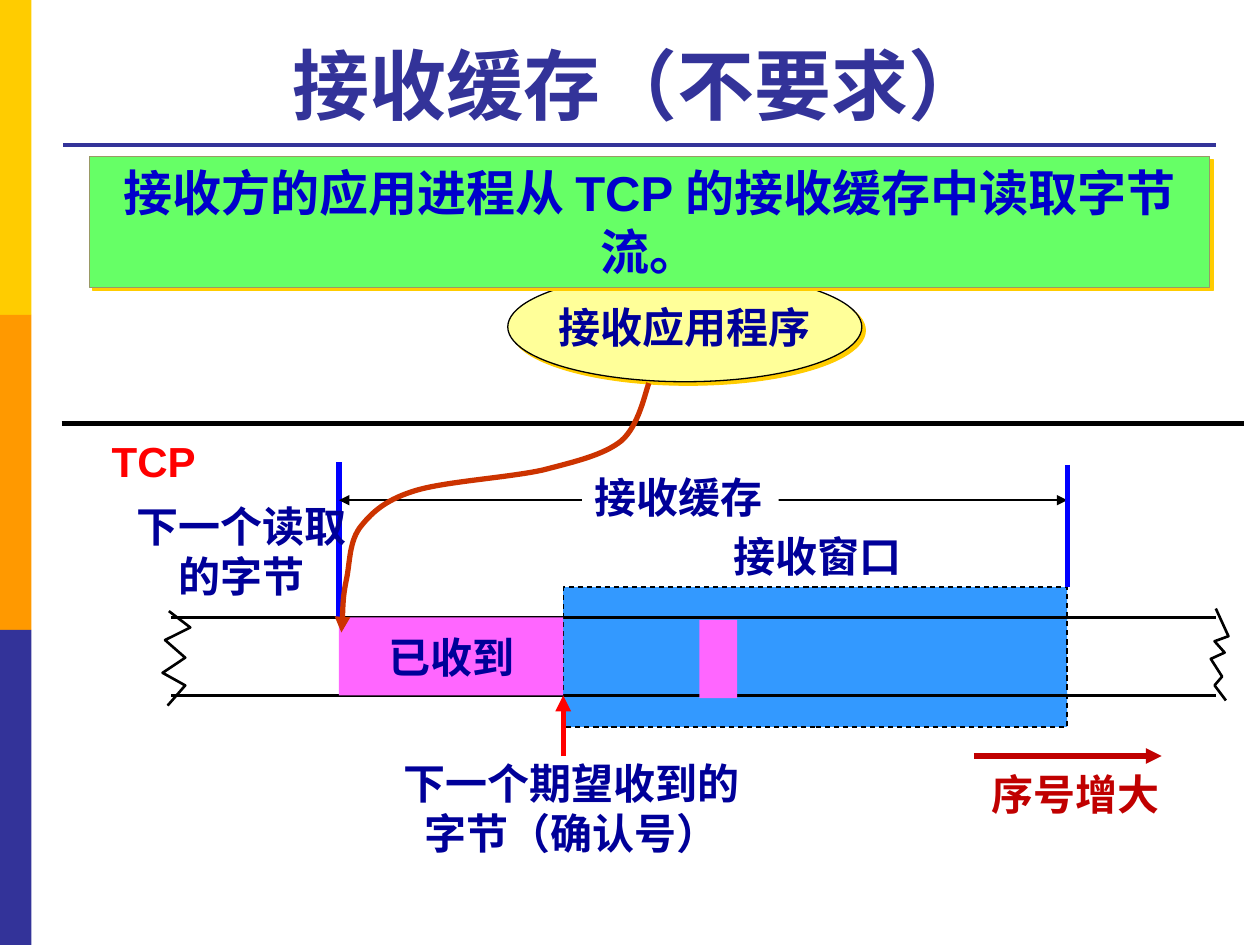
import pptx
import pptx.dml.color
import pptx.enum.dml
import pptx.enum.shapes
import pptx.enum.text
import pptx.oxml.ns
import pptx.util
from lxml import etree

PX = 9144  # 100 px to the inch
COLORS = {
    "gold": "FFCC00", "orange": "FF9900", "indigo": "333399", "black": "000000",
    "white": "FFFFFF", "window": "3399FF", "yellow": "FFFF99", "navy": "000099",
    "pink": "FF66FF", "blue": "0000FF", "red": "FF0000", "rust": "CC3300",
    "crimson": "C00000", "green": "66FF66", "olive": "999966", "banner": "0000CC",
}
RECT = pptx.enum.shapes.MSO_SHAPE.RECTANGLE
OVAL = pptx.enum.shapes.MSO_SHAPE.OVAL
ALIGN = pptx.enum.text.PP_ALIGN
ANCHOR = pptx.enum.text.MSO_ANCHOR
qn = pptx.oxml.ns.qn


class Board:
    """Holds the text style and the current slide."""

    font = "Arial"
    size = 24

    def __init__(self, slide):
        self.slide = slide
        self.shapes = slide.shapes

    def rgb(self, name):
        return pptx.dml.color.RGBColor.from_string(COLORS[name])

    def stroke(self, line, color, width, dash=False, ends=()):
        line.color.rgb = self.rgb(color)
        line.width = pptx.util.Pt(width)
        if dash:
            line.dash_style = pptx.enum.dml.MSO_LINE.DASH
        for end in ends:
            etree.SubElement(line._get_or_add_ln(), qn(f"a:{end}"), type="triangle")

    def add_text(self, frame, lines, color, size=None, align=ALIGN.CENTER,
                 anchor=ANCHOR.TOP, wrap=False):
        frame.word_wrap = wrap
        frame.auto_size = pptx.enum.text.MSO_AUTO_SIZE.NONE
        frame.vertical_anchor = anchor
        for i, line in enumerate(lines):
            paragraph = frame.add_paragraph() if i else frame.paragraphs[0]
            paragraph.alignment = align
            run = paragraph.add_run()
            run.text = line
            run.font.name = self.font
            run.font.size = pptx.util.Pt(size or self.size)
            run.font.bold = True
            run.font.color.rgb = self.rgb(color)

    def title(self, box, text):
        holder = self.shapes.title
        holder.left, holder.top, holder.width, holder.height = (v * PX for v in box)
        self.add_text(holder.text_frame, [text], "indigo", 44,
                      anchor=ANCHOR.BOTTOM, wrap=True)

    def block(self, box, fill, kind=RECT, outline=None, dash=False, shadow=False):
        shape = self.shapes.add_shape(kind, *(v * PX for v in box))
        shape.shadow.inherit = False
        shape.fill.solid()
        shape.fill.fore_color.rgb = self.rgb(fill)
        if outline:
            self.stroke(shape.line, outline, 0.75, dash)
        else:
            shape.line.fill.background()
        if shadow:
            effects = shape._element.spPr.find(qn("a:effectLst"))
            cast = etree.SubElement(effects, qn("a:outerShdw"), dist="35921",
                                    dir="2700000", algn="ctr", rotWithShape="0")
            etree.SubElement(cast, qn("a:srgbClr"), val=COLORS["gold"])
        return shape

    def label(self, box, *lines, color="navy", align=ALIGN.CENTER):
        text_box = self.shapes.add_textbox(*(v * PX for v in box))
        self.add_text(text_box.text_frame, lines, color, align=align)

    def line(self, start, end, color, width, ends=()):
        connector = self.shapes.add_connector(
            pptx.enum.shapes.MSO_CONNECTOR.STRAIGHT,
            *(v * PX for v in start + end))
        self.stroke(connector.line, color, width, ends=ends)
        etree.SubElement(connector._element.spPr, qn("a:effectLst"))

    def outline(self, points, color, width, curved=False, ends=()):
        builder = self.shapes.build_freeform(*points[0], scale=PX)
        builder.add_line_segments(points[1:], close=False)
        shape = builder.convert_to_shape()
        shape.shadow.inherit = False
        shape.fill.background()
        self.stroke(shape.line, color, width, ends=ends)
        if curved:  # every three points become one Bézier segment
            steps = list(shape._element.iter(qn("a:lnTo")))
            for i in range(0, len(steps), 3):
                bezier = etree.Element(qn("a:cubicBezTo"))
                steps[i].addprevious(bezier)
                for step in steps[i:i + 3]:
                    bezier.append(step[0])
                    step.getparent().remove(step)


def main():
    deck = pptx.Presentation()
    deck.slide_width, deck.slide_height = 1000 * PX, 750 * PX
    board = Board(deck.slides.add_slide(deck.slide_layouts[5]))

    # Side bars, title and rule
    for i, color in enumerate(("gold", "orange", "indigo")):
        board.block((0, 250 * i, 25, 250), color)
    board.line((50, 115), (965, 115), "indigo", 2.25)
    board.title((50, 21, 915, 87), "接收缓存（不要求）")

    # Receive window and application
    start, expected, end = 269, 447, 847
    top, bottom = 490, 552
    board.block((expected, 466, end - expected, 111), "window",
                outline="black", dash=True)
    application = board.block((403, 216, 281, 87), "yellow", OVAL, "black", shadow=True)
    board.add_text(application.text_frame, ["接收应用程序"], "navy", anchor=ANCHOR.MIDDLE)
    board.line((49, 336), (987, 336), "black", 3)

    # Byte stream
    for y in (top, bottom):
        board.line((136, y), (965, y), "black", 1.5)
    received = board.block((start, top, expected - start, bottom - top), "pink")
    board.add_text(received.text_frame, ["已收到"], "navy", anchor=ANCHOR.MIDDLE)
    board.block((555, 492, 30, 62), "pink")
    board.label((572, 416, 156, 50), "接收窗口", align=ALIGN.LEFT)

    # Extent of the receive buffer
    board.line((start, 367), (start, top), "blue", 3)
    board.label((78, 341, 88, 50), "TCP", color="red")
    board.line((start, 397), (end, 397), "black", 1.5, ("headEnd", "tailEnd"))
    buffer_name = board.block((462, 369, 156, 50), "white")
    board.add_text(buffer_name.text_frame, ["接收缓存"], "navy", align=ALIGN.LEFT)
    board.line((end, 369), (end, 466), "blue", 3)

    # Reading path from the application to the next byte
    board.outline([(515, 304), (512, 312), (507, 338), (493, 350),
                   (479, 361), (458, 366), (431, 373),
                   (404, 379), (355, 382), (331, 389),
                   (307, 396), (296, 406), (287, 417),
                   (277, 429), (278, 446), (275, 460),
                   (272, 474), (272, 493), (271, 502)],
                  "rust", 3, curved=True, ends=("tailEnd",))
    board.label((97, 392, 189, 91), "下一个读取", "的字节")

    # Sequence direction and next expected byte
    board.line((773, 600), (922, 600), "crimson", 3, ("tailEnd",))
    board.label((776, 605, 156, 50), "序号增大", color="crimson")
    board.label((308, 596, 291, 91), "下一个期望收到的", "字节（确认号）")
    board.line((expected, 600), (expected, bottom), "red", 3, ("tailEnd",))

    # Torn ends of the stream
    board.outline([(965, 483), (975, 505), (964, 509), (972, 518),
                   (961, 523), (970, 537), (964, 544), (973, 556)], "black", 1.5)
    board.outline([(134, 485), (151, 498), (131, 508), (147, 522),
                   (129, 534), (147, 544), (133, 560)], "black", 1.5)

    # Statement banner
    banner = board.block((71, 124, 889, 104), "green", outline="olive", shadow=True)
    board.add_text(banner.text_frame, ["接收方的应用进程从 TCP 的接收缓存中读取字节流。"],
                   "banner", 28, wrap=True)

    deck.save("out.pptx")


if __name__ == "__main__":
    main()
